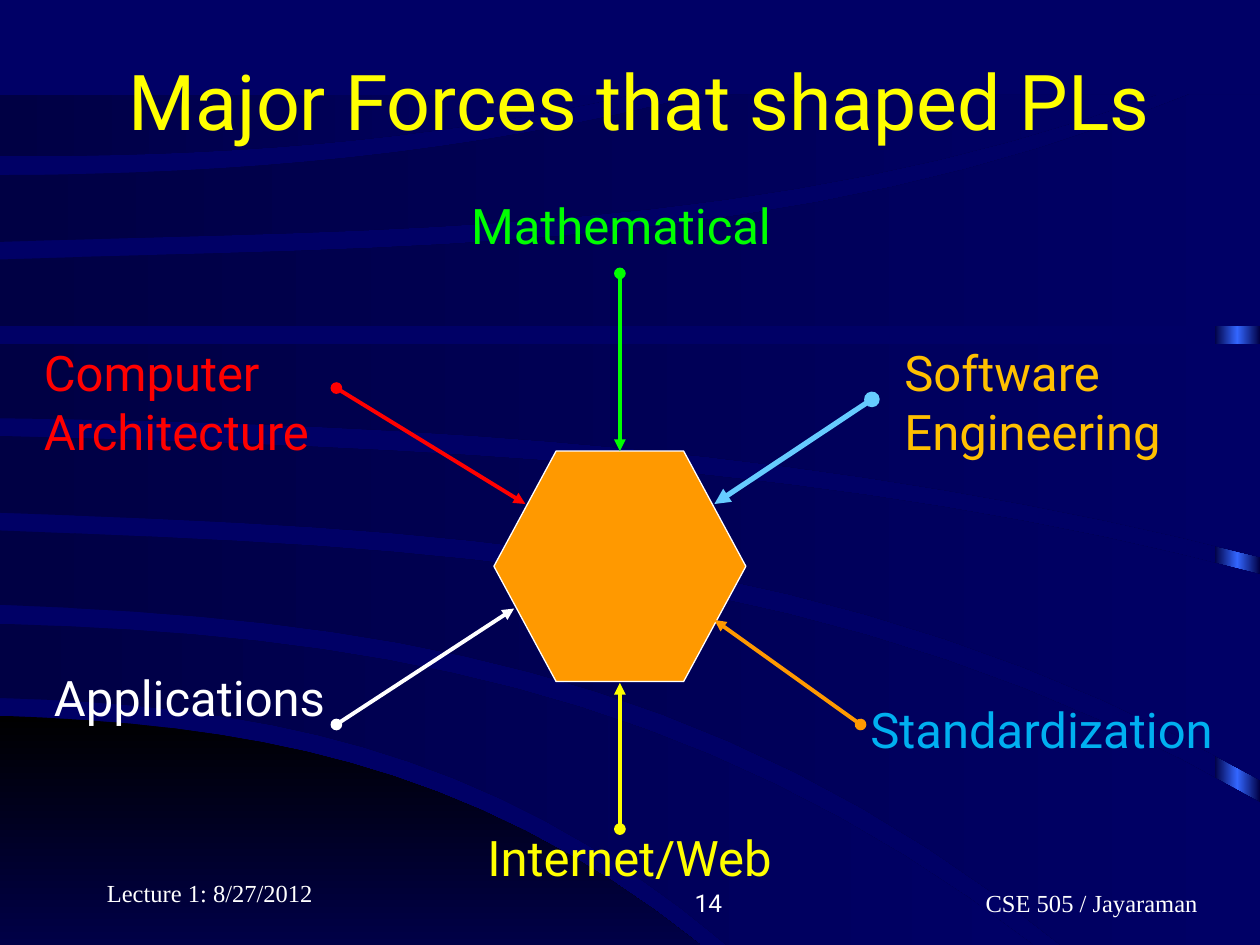
"""Build the slide on the forces that shaped programming languages."""
from copy import deepcopy
from math import prod

from pptx import Presentation
from pptx import util as u
from pptx.dml.color import RGBColor
from pptx.enum import shapes, text
from pptx.oxml.ns import qn

NAVY, DARK = RGBColor.from_string("000066"), RGBColor.from_string("000044")
BLACK, DUSK = RGBColor.from_string("000000"), RGBColor.from_string("000047")
GLOW, SKY = RGBColor.from_string("3366FF"), RGBColor.from_string("66CCFF")
YELLOW, WHITE = RGBColor.from_string("FFFF00"), RGBColor.from_string("FFFFFF")
ORANGE, AMBER = RGBColor.from_string("FF9900"), RGBColor.from_string("FFC000")
RED, GREEN = RGBColor.from_string("FF0000"), RGBColor.from_string("00FF00")
BLUE = RGBColor.from_string("00B0F0")

INCH = 2.54
STEPS = 16
SANS, SERIF = "Roboto", "Times New Roman"
LEFT, CENTER, RIGHT = text.PP_ALIGN.LEFT, text.PP_ALIGN.CENTER, text.PP_ALIGN.RIGHT
FIT, FIXED = text.MSO_AUTO_SIZE.SHAPE_TO_FIT_TEXT, text.MSO_AUTO_SIZE.NONE
TOP, MIDDLE, BOTTOM = text.MSO_ANCHOR.TOP, text.MSO_ANCHOR.MIDDLE, text.MSO_ANCHOR.BOTTOM

TITLE = "Major Forces that shaped PLs"
FORCES = [
    (["Computer", "Architecture"], (0.25, 2.67, 2.44), RED),
    (["Software", "Engineering"], (7.08, 2.67, 2.41), AMBER),
    (["Mathematical"], (3.64, 1.5, 2.69), GREEN),
    (["Applications"], (0.33, 5.25, 2.43), WHITE),
    (["Internet/Web"], (3.77, 6.52, 2.65), YELLOW),
    (["Standardization"], (6.81, 5.5, 3.08), BLUE),
]
ARROWS = [
    ((6.92, 3.17), (5.67, 4), SKY),
    ((2.67, 5.75), (4.08, 4.83), WHITE),
    ((2.67, 3.08), (4.17, 4), RED),
    ((4.92, 2.17), (4.92, 3.58), GREEN),
    ((4.92, 6.58), (4.92, 5.42), YELLOW),
    ((6.83, 5.75), (5.67, 4.92), ORANGE),
]
FOOTERS = [
    ("14", (3.75, 6.83, 2.08), RIGHT, SANS),
    ("Lecture 1: 8/27/2012", (0.75, 6.75, 2.08), LEFT, SERIF),
    ("\tCSE 505 / Jayaraman", (6.58, 6.83, 3.17), CENTER, SERIF),
]
CORNER = (5.56, [5.68, 5.85, 6.38, 7.5]), (5.56, [7.5, 7.5])
BANDS = [
    ((8.2, [4.95, 5.18, 5.92, 7.5]), (5.77, [5.54, 5.71, 6.28, 7.5])),
    ((10, [4.21, 4.4, 4.98, 6.37]), (8.42, [4.8, 5.04, 5.81, 7.5])),
    ((10, [3.46, 3.59, 3.9, 4.56]), (10, [4.07, 4.25, 4.82, 6.19])),
    ((10, [2.73, 2.73]), (10, [3.32, 3.43, 3.76, 4.42])),
    ((9.44, [2.06, 1.96, 1.64, 0.75]), (10, [2.59, 2.59])),
    ((5.57, [1.39, 1.33, 1.13, 0.75]), (9.18, [1.92, 1.82, 1.53, 0.75])),
    ((5.02, [0.75, 0.75]), (5.02, [1.24, 1.2, 1.05, 0.75])),
]


def lengths(values):
    return [u.Cm(v * INCH) for v in values]


def gradient(sp, colors, angle=0):
    sp.shadow.inherit = False
    sp.line.fill.background()
    sp.fill.gradient()
    sp.fill.gradient_angle = angle
    stops = sp._element.spPr.find(".//" + qn("a:gsLst"))
    for _ in colors[2:]:
        stops.append(deepcopy(stops[0]))
    for i, (stop, color) in enumerate(zip(sp.fill.gradient_stops, colors)):
        stop.color.rgb = color
        stop.position = i / (len(colors) - 1)


def curve(end, heights):
    """Sample the polynomial through evenly spaced heights from the left edge to end."""
    nodes = range(len(heights))

    def height(t):
        return sum(y * prod((t - j) / (i - j) for j in nodes if j != i)
                   for i, y in enumerate(heights))

    return [(end * k / STEPS, height(k / STEPS * nodes[-1])) for k in range(STEPS + 1)]


def band(s, upper, lower, colors, angle=0):
    corner = max(upper[0], lower[0]), min(upper, lower)[1][-1]
    points = [lengths(p) for p in curve(*upper) + [corner] + curve(*lower)[::-1]]
    builder = s.shapes.build_freeform(*points[0])
    builder.add_line_segments(points[1:], close=True)
    gradient(builder.convert_to_shape(), colors, angle)


def write(sp, lines, frame, font, color, align=LEFT):
    tf = sp.text_frame
    for name, value in frame.items():
        setattr(tf, name, value)
    for i, line in enumerate(lines):
        p = tf.add_paragraph() if i else tf.paragraphs[0]
        p.alignment = align
        if line.startswith("\t"):
            tabs = p._p.pPr.makeelement(qn("a:tabLst"), {})
            p._p.pPr.append(tabs)
            tabs.append(tabs.makeelement(qn("a:tab"), {"pos": str(u.Cm(INCH)), "algn": "l"}))
        r = p.add_run()
        r.text = line
        for name, value in font.items():
            setattr(r.font, name, value)
        r.font.color.rgb = color


def arrow(s, start, end, color):
    sp = s.shapes.add_connector(shapes.MSO_CONNECTOR.STRAIGHT, *lengths(start + end))
    sp.line.color.rgb = color
    sp.line.width = u.Pt(3 if color == SKY else 2.25)
    ln = sp.line._get_or_add_ln()
    for tag, kind in (("a:headEnd", "oval"), ("a:tailEnd", "triangle")):
        ln.append(ln.makeelement(qn(tag), {"type": kind}))
    sp._element.spPr.append(ln.makeelement(qn("a:effectLst"), {}))


def main():
    prs = Presentation()
    prs.slide_width, prs.slide_height = lengths((10, 7.5))
    s = prs.slides.add_slide(prs.slide_layouts[5])
    s.background.fill.solid()
    s.background.fill.fore_color.rgb = NAVY

    strip = s.shapes.add_shape(shapes.MSO_SHAPE.RECTANGLE, *lengths((9.64, 0.77, 0.36, 6.73)))
    gradient(strip, [DARK, GLOW, DARK])
    band(s, *CORNER, [BLACK, DUSK], 270)
    for upper, lower in BANDS:
        band(s, upper, lower, [DARK, NAVY])

    title = s.shapes.title
    title.left, title.top, title.width, title.height = lengths((0.83, 0.17, 8.5, 1.25))
    s.shapes._spTree.append(title._element)
    write(title, [TITLE], dict(vertical_anchor=MIDDLE, auto_size=FIXED, word_wrap=True),
          dict(name=SANS, size=u.Pt(44)), YELLOW, CENTER)

    core = s.shapes.add_shape(shapes.MSO_SHAPE.HEXAGON, *lengths((3.92, 3.58, 2, 1.83)))
    core.adjustments[0] = 0.27
    core.shadow.inherit = False
    core.fill.solid()
    core.fill.fore_color.rgb = ORANGE
    core.line.color.rgb = WHITE
    core.line.width = u.Pt(0.75)

    for item in ARROWS:
        arrow(s, *item)
    for lines, box, color in FORCES:
        height = 0.1 + 0.47 * len(lines)
        write(s.shapes.add_textbox(*lengths(box + (height,))), lines,
              dict(vertical_anchor=TOP, auto_size=FIT, word_wrap=False),
              dict(name=SANS, size=u.Pt(28)), color)
    for line, box, align, face in FOOTERS:
        write(s.shapes.add_textbox(*lengths(box + (0.5,))), [line],
              dict(vertical_anchor=BOTTOM, auto_size=FIXED, word_wrap=True),
              dict(name=face, size=u.Pt(14)), WHITE, align)
    prs.save("out.pptx")


if __name__ == "__main__":
    main()
